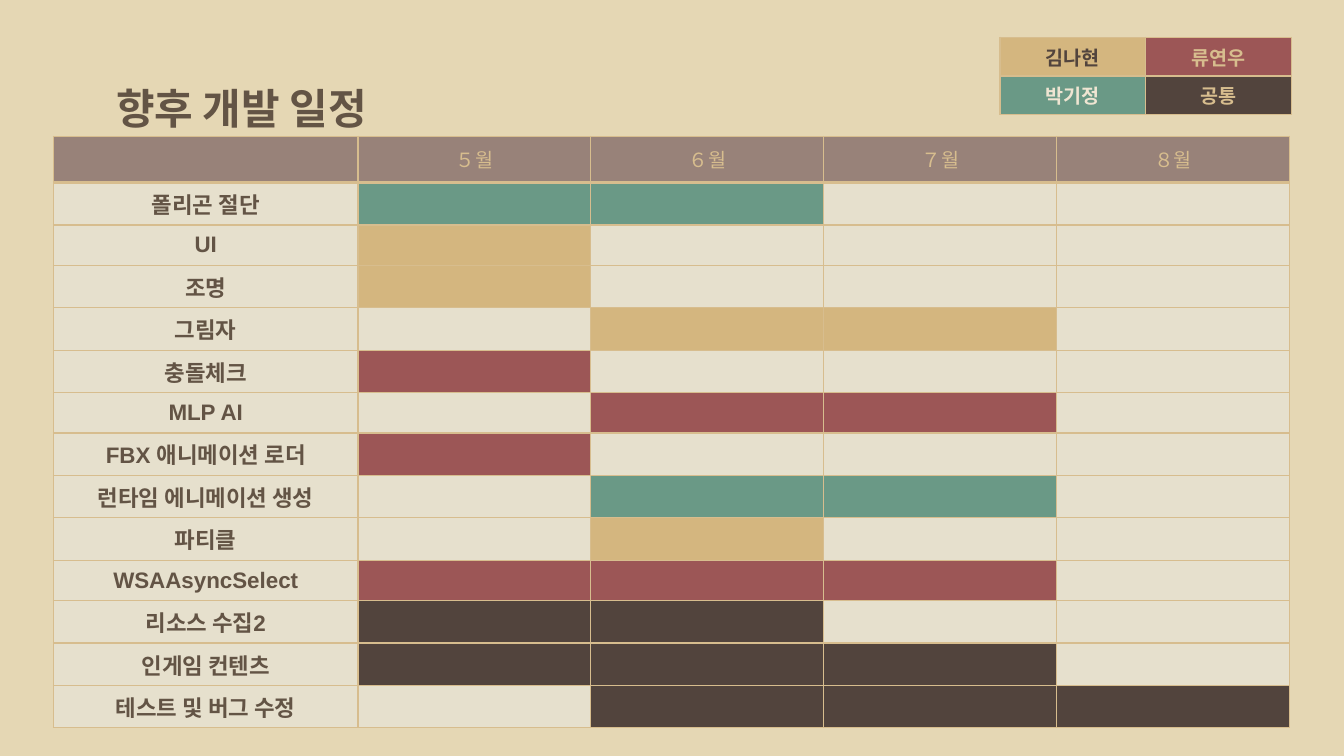
from dataclasses import dataclass

from lxml import etree
from pptx import Presentation
from pptx.dml.color import RGBColor
from pptx.enum.text import MSO_ANCHOR, MSO_AUTO_SIZE, PP_ALIGN
from pptx.oxml.ns import qn
from pptx.util import Cm, Pt

LEFT, CENTER = PP_ALIGN.LEFT, PP_ALIGN.CENTER
TOP, MIDDLE = MSO_ANCHOR.TOP, MSO_ANCHOR.MIDDLE
NO_FIT = MSO_AUTO_SIZE.NONE

# Palette
SAND, CREAM, HEAD = "E5D7B4", "E6E0CD", "988279"
GOLD, RED, GREEN, DARK = "D4B67F", "9C5656", "6A9986", "52443D"
EDGE, INK, PALE = "D7BD8E", "635445", "EFE5D2"


@dataclass
class Owner:
    name: str
    fill: str
    ink: str


@dataclass
class Task:
    name: str
    fill: str
    start: int
    end: int


OWNERS = [
    Owner("김나현", GOLD, DARK),
    Owner("류연우", RED, EDGE),
    Owner("박기정", GREEN, PALE),
    Owner("공통", DARK, EDGE),
]
MONTHS = ["５월", "６월", "７월", "８월"]
TASKS = [
    Task("폴리곤 절단", GREEN, 5, 6),
    Task("UI", GOLD, 5, 5),
    Task("조명", GOLD, 5, 5),
    Task("그림자", GOLD, 6, 7),
    Task("충돌체크", RED, 5, 5),
    Task("MLP AI", RED, 6, 7),
    Task("FBX 애니메이션 로더", RED, 5, 5),
    Task("런타임 에니메이션 생성", GREEN, 6, 7),
    Task("파티클", GOLD, 6, 6),
    Task("WSAAsyncSelect", RED, 5, 7),
    Task("리소스 수집2", DARK, 5, 6),
    Task("인게임 컨텐츠", DARK, 5, 7),
    Task("테스트 및 버그 수정", DARK, 6, 8),
]


def color(code: str) -> RGBColor:
    return RGBColor.from_string(code)


def write(frame, text: str, *, size: float, ink: str, font: str = "Arial",
          bold: bool = True, align=CENTER) -> None:
    para = frame.paragraphs[0]
    para.alignment = align
    run = para.add_run()
    run.text = text
    run.font.size = Pt(size)
    run.font.name = font
    run.font.bold = bold
    run.font.color.rgb = color(ink)


def paint(cell, fill: str, base: float = 1) -> None:
    """Fill a cell and rule its edges; base is the bottom width in points."""
    props = cell._tc.get_or_add_tcPr()
    for side, width in zip("LRTB", (1, 1, 1, base)):
        line = etree.SubElement(props, qn(f"a:ln{side}"), w=str(Pt(width)))
        solid = etree.SubElement(line, qn("a:solidFill"))
        etree.SubElement(solid, qn("a:srgbClr"), val=EDGE)
    cell.fill.solid()
    cell.fill.fore_color.rgb = color(fill)


def label(cell, text: str, *, anchor=MIDDLE, **form) -> None:
    cell.vertical_anchor = anchor
    write(cell.text_frame, text, **form)


def grid(slide, left: float, top: float, cols: list[float],
         rows: list[float]):
    frame = slide.shapes.add_table(len(rows), len(cols), Cm(left), Cm(top),
                                   Cm(sum(cols)), Cm(sum(rows)))
    table = frame.table
    table.first_row = table.horz_banding = False
    for col, width in zip(table.columns, cols):
        col.width = Cm(width)
    for row, height in zip(table.rows, rows):
        row.height = Cm(height)
    return table


def add_title(slide) -> None:
    title = slide.shapes.title
    title.left, title.top = Cm(2.67), Cm(1.65)
    title.width, title.height = Cm(20.14), Cm(2.13)
    frame = title.text_frame
    frame.auto_size = NO_FIT
    frame.vertical_anchor = MIDDLE
    write(frame, "향후 개발 일정", size=30, ink=INK, font="Cambria",
          align=LEFT)


def add_plan(slide) -> None:
    table = grid(slide, 1.35, 3.43, [7.67] + [5.87] * len(MONTHS),
                 [1.17] + [1.02] * len(TASKS))
    # Month header
    for col, month in enumerate([""] + MONTHS):
        cell = table.cell(0, col)
        paint(cell, HEAD, base=3)
        if month:
            label(cell, month, size=14, ink=EDGE, bold=False)
    # One row per task, one bar cell per month
    for row, task in enumerate(TASKS, 1):
        name = table.cell(row, 0)
        paint(name, CREAM)
        label(name, task.name, size=16, ink=INK)
        for col in range(1, len(MONTHS) + 1):
            cell = table.cell(row, col)
            cell.margin_top = cell.margin_bottom = 0
            busy = task.start <= col + 4 <= task.end
            paint(cell, task.fill if busy else CREAM)


def add_legend(slide) -> None:
    table = grid(slide, 25.2, 0.94, [3.67] * 2, [0.94] * 2)
    for cell, owner in zip(table.iter_cells(), OWNERS):
        paint(cell, owner.fill)
        label(cell, owner.name, size=14, ink=owner.ink, anchor=TOP)


def main() -> None:
    deck = Presentation()
    deck.slide_width, deck.slide_height = Cm(33.87), Cm(19.05)
    slide = deck.slides.add_slide(deck.slide_layouts[5])
    back = slide.background.fill
    back.solid()
    back.fore_color.rgb = color(SAND)
    add_title(slide)
    add_plan(slide)
    add_legend(slide)
    deck.save("out.pptx")


if __name__ == "__main__":
    main()
